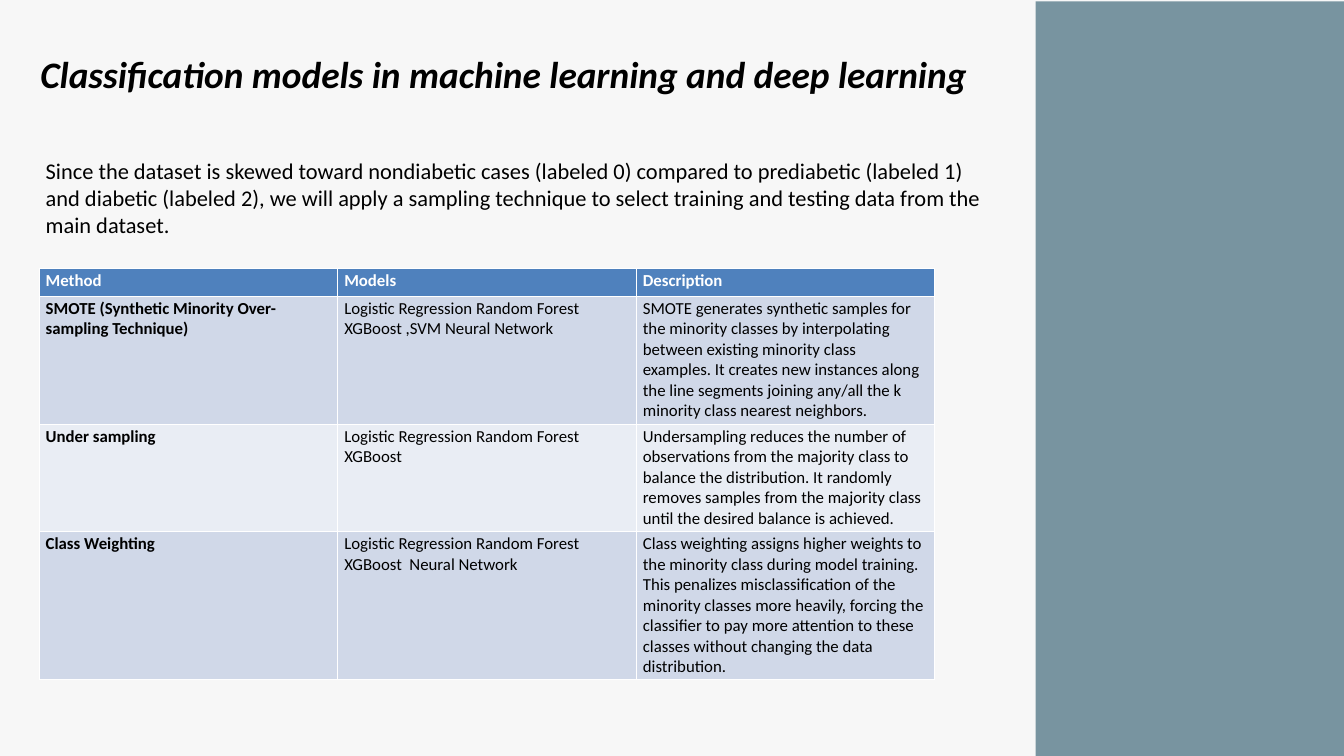
from lxml import etree
from pptx import Presentation
from pptx import util as u
from pptx.dml.color import RGBColor
from pptx.enum import shapes, text

HEADING = "Classification models in machine learning and deep learning"
INTRO = (
    "Since the dataset is skewed toward nondiabetic cases (labeled 0) compared to "
    "prediabetic (labeled 1) and diabetic (labeled 2), we will apply a sampling technique "
    "to select training and testing data from the main dataset."
)
METHODS = [
    ("Method", "Models", "Description"),
    (
        "SMOTE (Synthetic Minority Over-sampling Technique)",
        "Logistic Regression Random Forest XGBoost ,SVM Neural Network",
        "SMOTE generates synthetic samples for the minority classes by interpolating "
        "between existing minority class examples. It creates new instances along the "
        "line segments joining any/all the k minority class nearest neighbors.",
    ),
    (
        "Under sampling",
        "Logistic Regression Random Forest XGBoost",
        "Undersampling reduces the number of observations from the majority class to "
        "balance the distribution. It randomly removes samples from the majority class "
        "until the desired balance is achieved.",
    ),
    (
        "Class Weighting",
        "Logistic Regression Random Forest XGBoost  Neural Network",
        "Class weighting assigns higher weights to the minority class during model "
        "training. This penalizes misclassification of the minority classes more heavily, "
        "forcing the classifier to pay more attention to these classes without changing "
        "the data distribution.",
    ),
]
ROW_HEIGHTS = [0.41, 1.9, 1.6, 2.2]
BANDS = ["E9EDF4", "D0D8E8"]
HEADER_FILL = "4F81BD"
FRAME = {
    "word_wrap": True,
    "auto_size": text.MSO_AUTO_SIZE.NONE,
    "vertical_anchor": text.MSO_ANCHOR.TOP,
}
CELL = {
    "margin_top": u.Inches(0.03),
    "margin_bottom": u.Inches(0.03),
    "vertical_anchor": text.MSO_ANCHOR.TOP,
}


def apply(target, values):
    for name, value in values.items():
        setattr(target, name, value)


def paint(fill, color):
    fill.solid()
    fill.fore_color.rgb = RGBColor.from_string(color)


def write(frame, wording, size, color="000000", bold=False, italic=False):
    frame.text = wording
    paragraph = frame.paragraphs[0]
    apply(paragraph, {"alignment": text.PP_ALIGN.LEFT, "space_before": u.Pt(0)})
    font = paragraph.runs[0].font
    apply(font, {"name": "Calibri", "size": u.Pt(size), "bold": bold, "italic": italic})
    paint(font.fill, color)
    return paragraph


def place(part, left, top, width, height):
    box = {"left": left, "top": top, "width": width, "height": height}
    apply(part, {side: u.Inches(length) for side, length in box.items()})
    apply(part.text_frame, FRAME)


def remove_bullet(paragraph):
    properties = paragraph._p.get_or_add_pPr()
    properties.set("marL", "0")
    properties.set("indent", "0")
    etree.SubElement(properties, properties.tag.replace("pPr", "buNone"))


def add_methods(slide):
    table = slide.shapes.add_table(
        len(METHODS), len(METHODS[0]),
        u.Inches(0.58), u.Inches(4), u.Inches(13.33), u.Inches(sum(ROW_HEIGHTS)),
    ).table
    for r, (method, height) in enumerate(zip(METHODS, ROW_HEIGHTS)):
        table.rows[r].height = u.Inches(height)
        header = r == 0
        for c, wording in enumerate(method):
            cell = table.cell(r, c)
            apply(cell, CELL)
            paint(cell.fill, HEADER_FILL if header else BANDS[r % 2])
            write(cell.text_frame, wording, 18,
                  "FFFFFF" if header else "000000", header or c == 0)


def main():
    deck = Presentation()
    apply(deck, {"slide_width": u.Inches(20), "slide_height": u.Inches(11.25)})
    slide = deck.slides.add_slide(deck.slide_layouts[1])
    paint(slide.background.fill, "F7F7F7")

    heading, intro = slide.placeholders
    place(heading, 0.5, 0.71, 14.33, 0.77)
    write(heading.text_frame, HEADING, 40, bold=True, italic=True)
    place(intro, 0.58, 2.29, 14.25, 1.31)
    remove_bullet(write(intro.text_frame, INTRO, 24))

    side_panel = slide.shapes.add_shape(
        shapes.MSO_SHAPE.RECTANGLE,
        u.Inches(15.41), u.Inches(0.02), u.Inches(4.59), u.Inches(11.23),
    )
    side_panel.shadow.inherit = False
    paint(side_panel.fill, "7894A0")
    side_panel.line.fill.background()

    add_methods(slide)
    deck.save("out.pptx")


if __name__ == "__main__":
    main()
